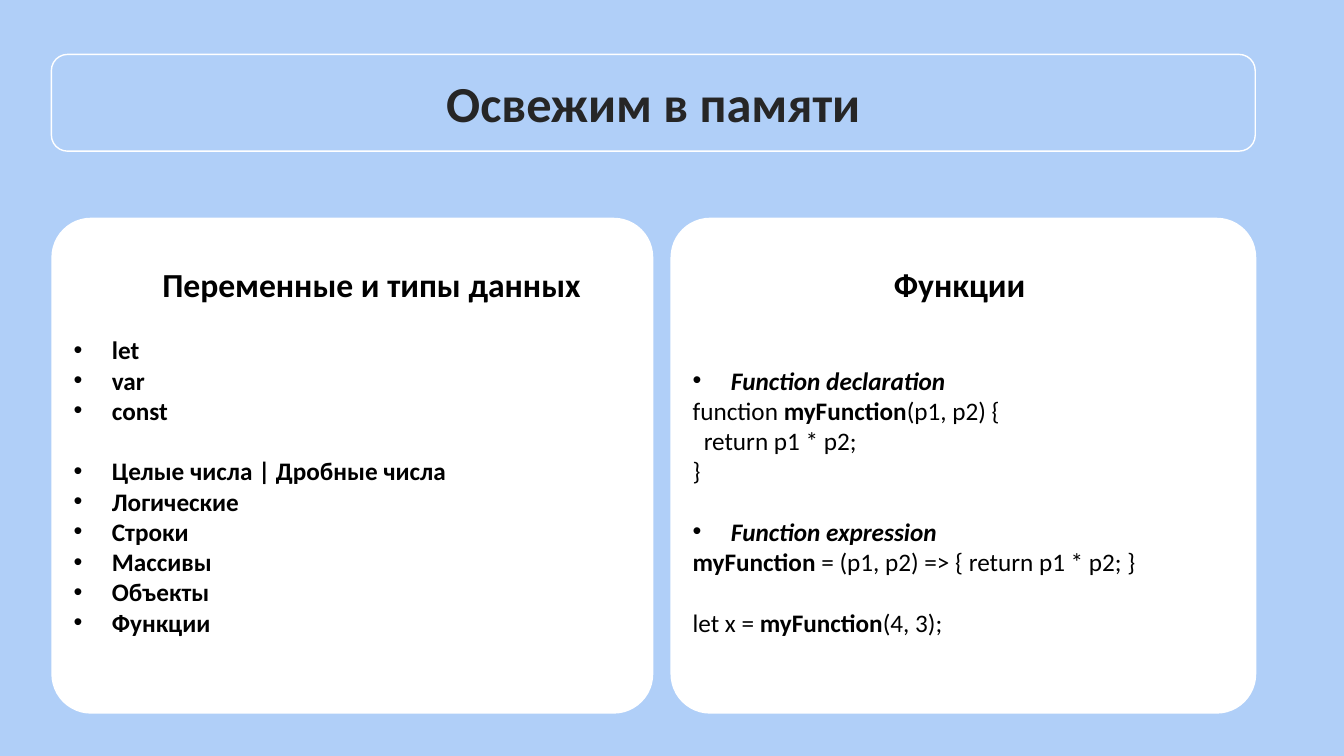
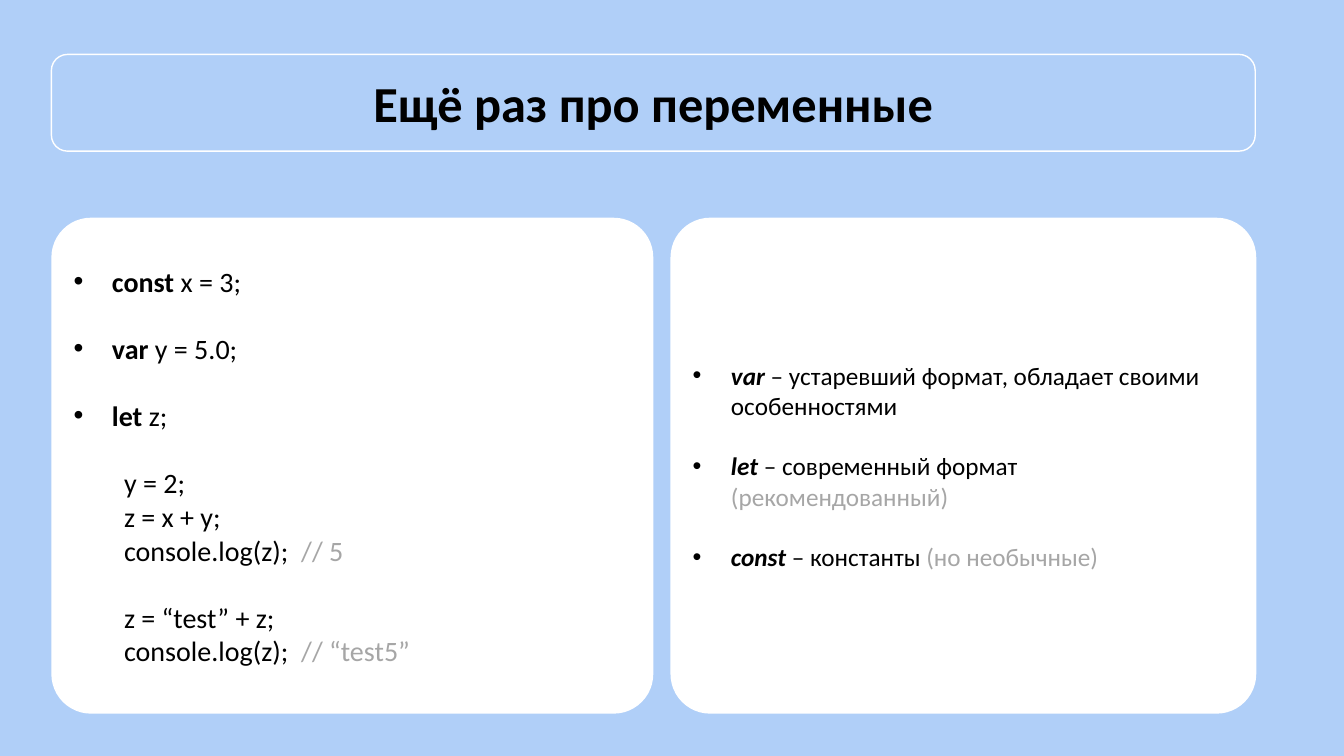
from dataclasses import dataclass

from lxml.etree import SubElement
from pptx import Presentation
from pptx.dml.color import RGBColor
from pptx.enum.shapes import MSO_SHAPE
from pptx.enum.text import MSO_ANCHOR, MSO_AUTO_SIZE, PP_ALIGN
from pptx.oxml.ns import qn
from pptx.util import Inches, Pt


@dataclass(frozen=True)
class Theme:
    font: str = "Calibri"
    background: str = "B0CFF8"
    surface: str = "FFFFFF"
    text: str = "000000"
    soft_text: str = "262626"
    note: str = "A6A6A6"
    title_size: int = 36
    heading_size: int = 24
    code_size: int = 20
    body_size: int = 18
    line_height: float = 1.2


THEME = Theme()
TWO_CONTENT_LAYOUT = 3
BANNER = (0.51, 0.54, 11.94, 0.96)
PANELS = ((0.51, 2.16, 5.97, 4.92), (6.65, 2.16, 5.81, 4.92))
PANEL_PADDING = (0.22, 0.46)
PANEL_ROUNDING = 0.08
BULLET_INDENT = 0.38

STYLES = {
    "plain": ({"bold": False, "italic": False}, THEME.text),
    "strong": ({"bold": True, "italic": False}, THEME.text),
    "term": ({"bold": True, "italic": True}, THEME.text),
    "note": ({"bold": False, "italic": False}, THEME.note),
}


@dataclass(frozen=True)
class Line:
    runs: tuple
    size: int = THEME.body_size
    bullet: bool = False
    gap_lines: int = 0
    left: float = 0
    first_line: float = 0
    align: PP_ALIGN = PP_ALIGN.LEFT


def heading(text, **options):
    return Line(((text, "strong"),), THEME.heading_size, **options)


def bullet(*runs, **options):
    return Line(runs, bullet=True, left=BULLET_INDENT, first_line=-BULLET_INDENT, **options)


def code(*runs, **options):
    return Line(runs, **options)


def assign(target, values):
    for name, value in values.items():
        setattr(target, name, value)


def place(shape, box):
    assign(shape, dict(zip(("left", "top", "width", "height"), map(Inches, box))))


def add_card(slide, box, depth, fill=None, outline=None, rounding=None):
    shape = slide.shapes.add_shape(MSO_SHAPE.ROUNDED_RECTANGLE, *map(Inches, box))
    shape.shadow.inherit = False
    if rounding is not None:
        shape.adjustments[0] = rounding
    if fill:
        shape.fill.solid()
        shape.fill.fore_color.rgb = RGBColor.from_string(fill)
    else:
        shape.fill.background()
    if outline:
        shape.line.color.rgb = RGBColor.from_string(outline)
        shape.line.width = Pt(1)
    else:
        shape.line.fill.background()
    shape.element.getparent().insert(2 + depth, shape.element)


def prepare_frame(placeholder, box, anchor):
    place(placeholder, box)
    frame = placeholder.text_frame
    assign(frame, {
        "word_wrap": True,
        "auto_size": MSO_AUTO_SIZE.NONE,
        "vertical_anchor": anchor,
        "margin_left": 0,
        "margin_right": 0,
        "margin_top": 0,
        "margin_bottom": 0,
    })
    return frame


def add_run(paragraph, text, size, style, color=None):
    formats, style_color = STYLES[style]
    run = paragraph.add_run()
    run.text = text
    assign(run.font, {"name": THEME.font, "size": Pt(size), **formats})
    run.font.color.rgb = RGBColor.from_string(color or style_color)


def set_indent(paragraph, line):
    properties = paragraph._p.get_or_add_pPr()
    properties.set("marL", str(Inches(line.left)))
    properties.set("indent", str(Inches(line.first_line)))
    if line.bullet:
        SubElement(properties, qn("a:buFont"), typeface="Arial")
        SubElement(properties, qn("a:buChar"), char="•")
    else:
        SubElement(properties, qn("a:buNone"))


def write_line(paragraph, line):
    assign(paragraph, {
        "alignment": line.align,
        "line_spacing": 1.0,
        "space_before": Pt(line.gap_lines * line.size * THEME.line_height),
        "space_after": Pt(0),
    })
    set_indent(paragraph, line)
    for text, style in line.runs:
        add_run(paragraph, text, line.size, style)


def fill_title(slide, text, color):
    add_card(slide, BANNER, 0, outline=THEME.surface)
    frame = prepare_frame(slide.shapes.title, BANNER, MSO_ANCHOR.MIDDLE)
    paragraph = frame.paragraphs[0]
    paragraph.alignment = PP_ALIGN.CENTER
    add_run(paragraph, text, THEME.title_size, "strong", color)


def fill_panel(slide, index, lines, anchor=MSO_ANCHOR.TOP):
    left, top, width, height = PANELS[index]
    add_card(slide, PANELS[index], index, fill=THEME.surface, rounding=PANEL_ROUNDING)
    pad_x, pad_y = PANEL_PADDING
    box = (left + pad_x, top + pad_y, width - 2 * pad_x, height - 2 * pad_y)
    frame = prepare_frame(slide.placeholders[index + 1], box, anchor)
    for number, line in enumerate(lines):
        paragraph = frame.add_paragraph() if number else frame.paragraphs[0]
        write_line(paragraph, line)


def add_content_slide(presentation, title, color=THEME.text):
    slide = presentation.slides.add_slide(presentation.slide_layouts[TWO_CONTENT_LAYOUT])
    fill_title(slide, title, color)
    return slide


def add_review_slide(presentation):
    slide = add_content_slide(presentation, "Освежим в памяти", THEME.soft_text)
    groups = (
        ("let", "var", "const"),
        ("Целые числа | Дробные числа", "Логические", "Строки", "Массивы", "Объекты", "Функции"),
    )
    items = [
        bullet((text, "strong"), gap_lines=0 if number else 1)
        for group in groups
        for number, text in enumerate(group)
    ]
    fill_panel(slide, 0, [heading("Переменные и типы данных", left=0.88), *items])
    fill_panel(slide, 1, [
        heading("Функции ", align=PP_ALIGN.CENTER),
        bullet(("Function declaration", "term"), gap_lines=2),
        code(("function ", "plain"), ("myFunction", "strong"), ("(p1, p2) {", "plain")),
        code(("return p1 * p2;", "plain"), left=0.11),
        code(("}", "plain")),
        bullet(("Function expression", "term"), gap_lines=1),
        code(("myFunction ", "strong"), ("= (p1, p2) => { return p1 * p2; }", "plain")),
        code(("let x = ", "plain"), ("myFunction", "strong"), ("(4, 3);", "plain"), gap_lines=1),
    ])


def add_variables_slide(presentation):
    slide = add_content_slide(presentation, "Ещё раз про переменные")
    declarations = (("const ", "x = 3;"), ("var ", "y = 5.0;"), ("let ", "z;"))
    large = {"size": THEME.code_size}
    step = {**large, "first_line": 0.5}
    fill_panel(slide, 0, [
        *(
            bullet((keyword, "strong"), (rest, "plain"), gap_lines=min(number, 1), **large)
            for number, (keyword, rest) in enumerate(declarations)
        ),
        code(("y = 2;", "plain"), gap_lines=1, **step),
        code(("z = x + y;", "plain"), **step),
        code(("console.log(z);  ", "plain"), ("// 5", "note"), **step),
        code(("z = “test” + z;", "plain"), gap_lines=1, **step),
        code(("console.log(z);  ", "plain"), ("// “test5”", "note"), **step),
    ])
    fill_panel(slide, 1, [
        bullet(("var ", "term"), ("– устаревший формат, обладает своими особенностями", "plain")),
        bullet(("let ", "term"), ("– современный формат ", "plain"),
               ("(рекомендованный)", "note"), gap_lines=1),
        bullet(("const ", "term"), ("– константы ", "plain"),
               ("(но необычные)", "note"), gap_lines=1),
    ], MSO_ANCHOR.MIDDLE)


def main():
    presentation = Presentation()
    assign(presentation, {"slide_width": Inches(13.33), "slide_height": Inches(7.5)})
    background = presentation.slide_master.background.fill
    background.solid()
    background.fore_color.rgb = RGBColor.from_string(THEME.background)
    add_review_slide(presentation)
    add_variables_slide(presentation)
    presentation.save("out.pptx")


if __name__ == "__main__":
    main()
